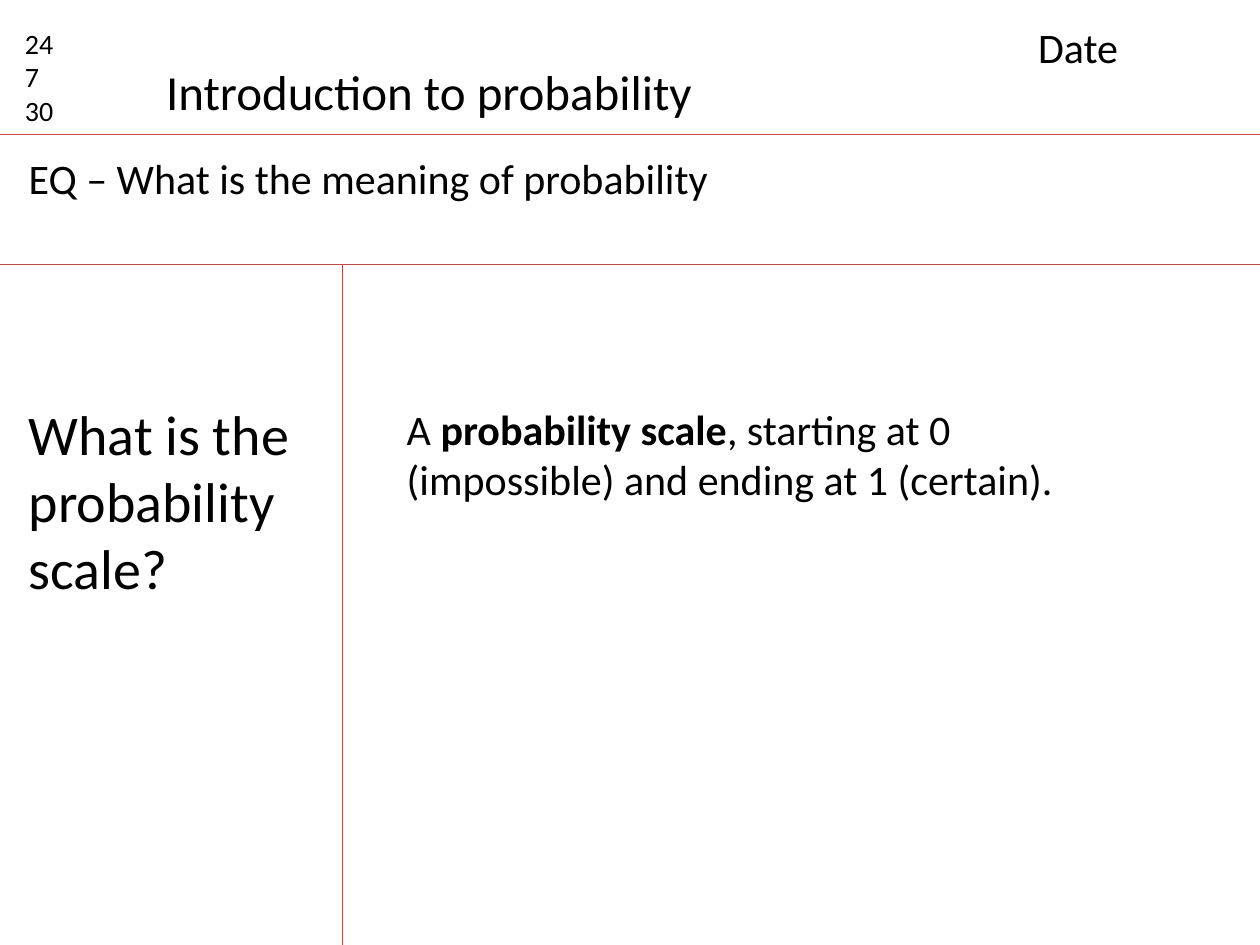
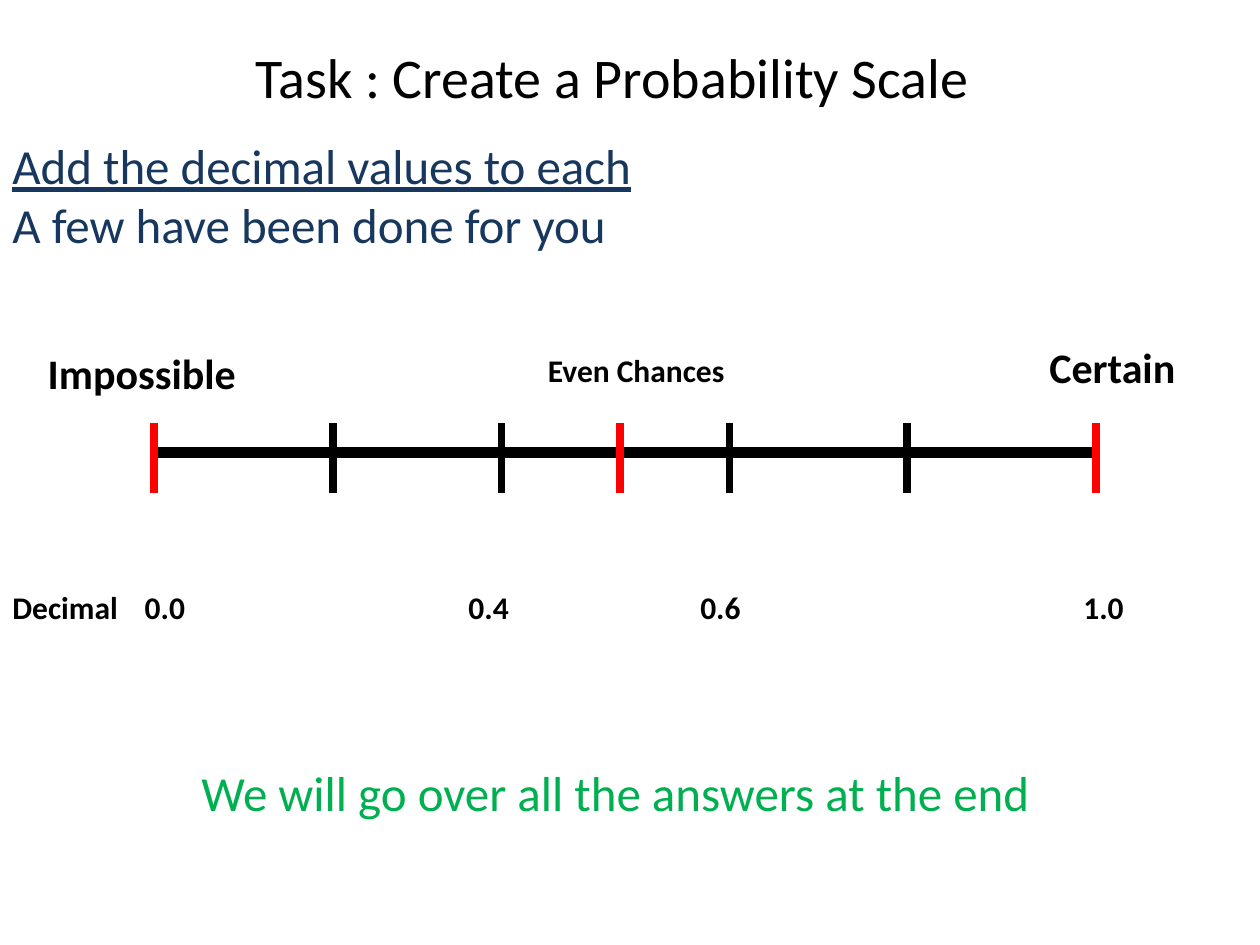
import pptx
import pptx.util
import pptx.dml.color
import pptx.enum.shapes
import pptx.enum.text
import pptx.oxml.ns
import lxml.etree

Inches = pptx.util.Inches
FONT = "Calibri"
BLACK, RULE, RED, NAVY, GREEN = "000000", "BF4C48", "FF0000", "17375E", "00B050"
SLIDE_W, SLIDE_H = 10, 7.5
INSET = 0.1


def rgb(value):
    return pptx.dml.color.RGBColor.from_string(value)


def add_line(s, x1, y1, x2, y2, color, width):
    line = s.shapes.add_connector(pptx.enum.shapes.MSO_CONNECTOR.STRAIGHT,
                                  Inches(x1), Inches(y1), Inches(x2), Inches(y2))
    line.line.color.rgb = rgb(color)
    line.line.width = pptx.util.Pt(width)
    lxml.etree.SubElement(line._element.spPr, pptx.oxml.ns.qn("a:effectLst"))


def add_tabs(p, stops):
    tabs = lxml.etree.SubElement(p._p.get_or_add_pPr(), pptx.oxml.ns.qn("a:tabLst"))
    for stop in stops:
        lxml.etree.SubElement(tabs, pptx.oxml.ns.qn("a:tab"), pos=str(Inches(stop)), algn="l")


def add_text(s, box, paragraphs, size, color=BLACK, bold=False, tabs=()):
    tf = s.shapes.add_textbox(*map(Inches, box)).text_frame
    tf.word_wrap = True
    tf.auto_size = pptx.enum.text.MSO_AUTO_SIZE.SHAPE_TO_FIT_TEXT
    for i, runs in enumerate(paragraphs):
        p = tf.add_paragraph() if i else tf.paragraphs[0]
        if tabs:
            add_tabs(p, tabs)
        p.font.name = FONT
        p.font.size = pptx.util.Pt(size)
        p.font.color.rgb = rgb(color)
        p.font.bold = bold
        for text, strong in [(runs, bold)] if isinstance(runs, str) else runs:
            r = p.add_run()
            r.text = text
            if strong != bold:
                r.font.bold = strong
    return tf


def note_header(s, x, y, w, h):
    add_line(s, x, y + h, x + w, y + h, RULE, 0.75)
    add_text(s, (x + 0.1, y + 0.16, 0.63, 0.91), ["24", "7", "30"], 16)
    add_text(s, (x + 1.22, y + 0.44, 4.6, 0.57), ["Introduction to probability"], 28)
    add_text(s, (x + 8.14, y + 0.12, 1.73, 0.5), ["Date"], 24)


def essential_question(s, x, y, w, h):
    add_line(s, x, y + h, x + w, y + h, RULE, 0.75)
    add_text(s, (x + 0.13, y + 0.09, 9.43, 0.5), ["EQ – What is the meaning of probability"], 24)


def note_body(s, x, y, w, h):
    margin = x + 2.72
    add_line(s, margin, y, margin, y + h, RULE, 0.75)
    add_text(s, (x + 0.13, y + 1.02, 2.9, 1.72), ["What is the probability scale?"], 32)
    answer = [("A ", False), ("probability scale", True),
              (", starting at 0 (impossible) and ending at 1 (certain).", False)]
    add_text(s, (margin + 0.41, y + 1.05, 6.2, 0.91), [answer], 24)


def task_heading(s, x, y):
    add_text(s, (x + 1.93, y + 0.29, 8.03, 0.64), ["Task : Create a Probability Scale"], 32)
    tf = add_text(s, (x, y + 1.03, 5.48, 1.04),
                  ["Add the decimal values to each", "A few have been done for you"], 28, NAVY)
    tf.paragraphs[0].font.underline = True


def probability_scale(s, x, y, w, h):
    axis = y + 0.23
    add_line(s, x, axis, x + w, axis, BLACK, 6)
    ticks = [(0, RED), (1.42, BLACK), (2.76, BLACK), (3.7, RED),
             (4.57, BLACK), (5.98, BLACK), (w, RED)]
    for offset, color in ticks:
        add_line(s, x + offset, y, x + offset, y + h, color, 4.5)
    labels = [("Impossible", -0.94, -0.65, 1.89, 24), ("Even Chances", 3.03, -0.62, 1.89, 18),
              ("Certain", 7.01, -0.7, 1.73, 24)]
    for text, dx, dy, width, size in labels:
        add_text(s, (x + dx, y + dy, width, 0.5), [text], size, bold=True)


def decimal_row(s, x, y, w):
    values = {"0.0": 1.15, "0.4": 3.72, "0.6": 5.56, "1.0": 8.6}
    stops = [left - INSET for left in values.values()]
    add_text(s, (x, y, w, 0.4), ["\t".join(["Decimal", *values])], 18, bold=True, tabs=stops)


def notes_slide(s):
    note_header(s, 0, 0, SLIDE_W, 1.07)
    essential_question(s, 0, 1.07, SLIDE_W, 1.03)
    note_body(s, 0, 2.1, SLIDE_W, SLIDE_H - 2.1)


def task_slide(s):
    task_heading(s, 0, 0)
    probability_scale(s, 1.22, 3.36, 7.48, 0.55)
    decimal_row(s, 0, 4.62, 9.26)
    add_text(s, (1.5, 6, 8.5, 0.57), ["We will go over all the answers at the end"], 28, GREEN)


def main():
    prs = pptx.Presentation()
    prs.slide_width, prs.slide_height = Inches(SLIDE_W), Inches(SLIDE_H)
    for build in (notes_slide, task_slide):
        build(prs.slides.add_slide(prs.slide_layouts[6]))
    prs.save("out.pptx")


if __name__ == "__main__":
    main()
